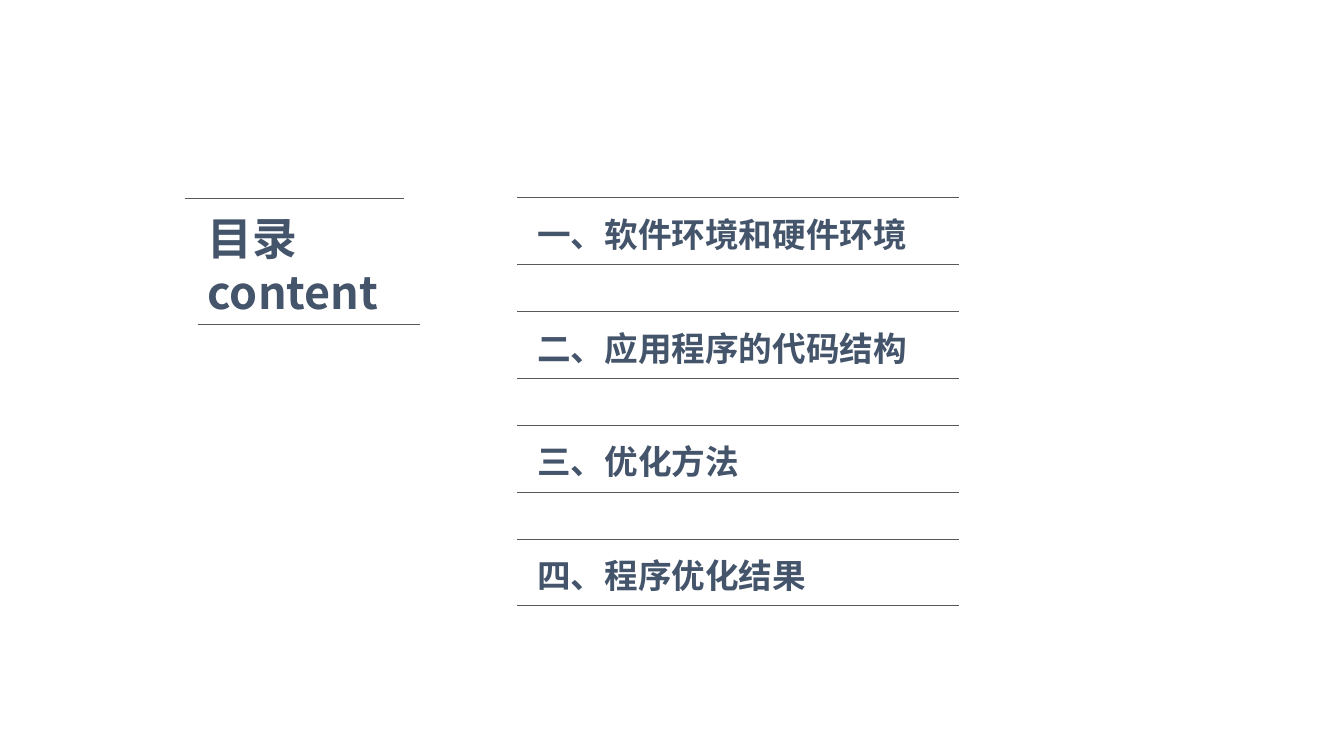
from dataclasses import dataclass

from lxml import etree
from pptx import Presentation
from pptx.dml.color import RGBColor
from pptx.enum import shapes, text
from pptx.oxml import ns
from pptx.util import Inches, Pt


@dataclass(frozen=True)
class Theme:
    font: str = "Noto Sans CJK SC"
    ink: RGBColor = RGBColor(0x44, 0x54, 0x6A)
    rule: RGBColor = RGBColor(0x59, 0x59, 0x59)
    rule_width: float = 0.5
    title_size: int = 32
    entry_size: int = 24


THEME = Theme()
CHAPTERS = [
    "一、软件环境和硬件环境",
    "二、应用程序的代码结构",
    "三、优化方法",
    "四、程序优化结果",
]


def add_rule(slide, left, top, width):
    rule = slide.shapes.add_connector(
        shapes.MSO_CONNECTOR.STRAIGHT,
        Inches(left), Inches(top), Inches(left + width), Inches(top))
    rule.line.color.rgb = THEME.rule
    rule.line.width = Pt(THEME.rule_width)
    etree.SubElement(rule._element.spPr, ns.qn("a:effectLst"))


def write_heading(holder, words, size):
    """Put bold, left-aligned words into a text box or title placeholder."""
    frame = holder.text_frame
    frame.text = words
    frame_format = {
        "word_wrap": True,
        "auto_size": text.MSO_AUTO_SIZE.SHAPE_TO_FIT_TEXT,
        "vertical_anchor": text.MSO_ANCHOR.TOP,
    }
    for name, value in frame_format.items():
        setattr(frame, name, value)

    paragraph = frame.paragraphs[0]
    paragraph.alignment = text.PP_ALIGN.LEFT
    run = paragraph.runs[0]
    font_format = {"name": THEME.font, "size": Pt(size), "bold": True}
    for name, value in font_format.items():
        setattr(run.font, name, value)
    run.font.color.rgb = THEME.ink
    east_asian = etree.SubElement(run._r.get_or_add_rPr(), ns.qn("a:ea"))
    east_asian.set("typeface", THEME.font)


def add_contents_title(slide, left, top, width, height):
    """Place the title between two rules, the lower one shifted right."""
    title = slide.shapes.title
    placement = {"left": left + 0.13, "top": top + 0.07,
                 "width": width - 0.25, "height": height - 0.07}
    for name, value in placement.items():
        setattr(title, name, Inches(value))
    write_heading(title, "目录 content", THEME.title_size)
    add_rule(slide, left, top, width)
    add_rule(slide, left + 0.13, top + height, width + 0.03)


def add_chapter(slide, words, left, top, width, height):
    """Place one chapter name between two rules of equal length."""
    chapter = slide.shapes.add_textbox(
        Inches(left + 0.1), Inches(top + 0.11), Inches(width), Inches(0.5))
    write_heading(chapter, words, THEME.entry_size)
    for rule_top in (top, top + height):
        add_rule(slide, left, rule_top, width)


def add_chapter_list(slide, left, top, width, pitch):
    for index, words in enumerate(CHAPTERS):
        add_chapter(slide, words, left, top + index * pitch, width, 0.66)


def main():
    deck = Presentation()
    deck.slide_width, deck.slide_height = Inches(13.33), Inches(7.5)
    slide = deck.slides.add_slide(deck.slide_layouts.get_by_name("Title Only"))
    add_contents_title(slide, 1.83, 1.97, 2.18, 1.25)
    add_chapter_list(slide, 5.13, 1.96, 4.38, 1.13)
    deck.save("out.pptx")


if __name__ == "__main__":
    main()
